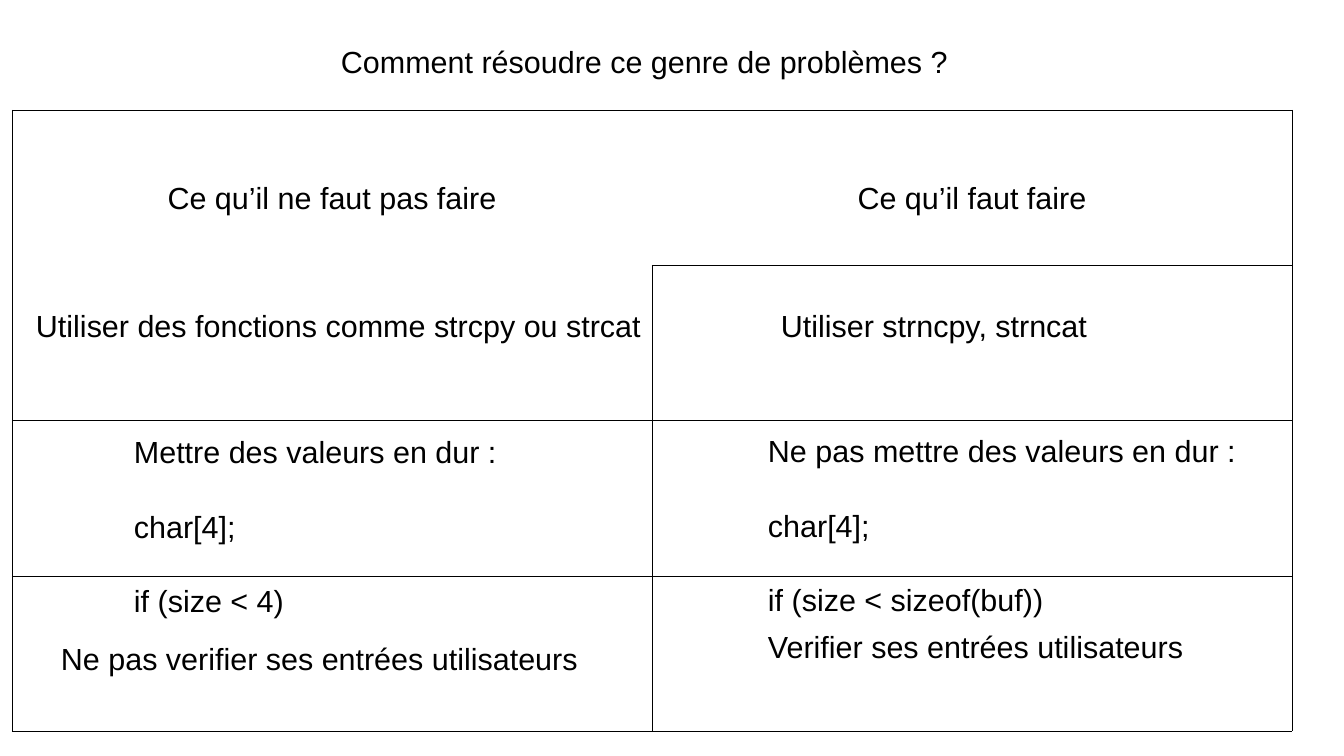
from lxml.etree import SubElement
from pptx import Presentation
from pptx.dml.color import RGBColor as RGB
from pptx.enum.text import PP_ALIGN as ALIGN
from pptx.oxml.ns import qn
from pptx.util import Pt

PX = 914400 / 122
COLORS = {"ink": "000000"}


def px(n):
    return round(n * PX)


def add_run(p, text):
    r = p.add_run()
    r.text = text
    r.font.name = "Arial"
    r.font.size = Pt(18)
    r.font.color.rgb = RGB.from_string(COLORS["ink"])


prs = Presentation()
prs.slide_width, prs.slide_height = px(1344), px(756)
s = prs.slides.add_slide(prs.slide_layouts[6])

HEADERS = ["Ce qu’il ne faut pas faire", "Ce qu’il faut faire"]
ROW_HEIGHTS = [155, 155, 156, 155]
tbl = s.shapes.add_table(4, 2, px(12), px(110), px(1280), px(621)).table
tbl.first_row = tbl.horz_banding = False
for col in tbl.columns:
    col.width = px(640)
for row, height in zip(tbl.rows, ROW_HEIGHTS):
    row.height = px(height)

SIDES = {(0, 0): "LT", (0, 1): "RTB", (1, 0): "LRB"}
for i in range(4):
    for j in range(2):
        cell = tbl.cell(i, j)
        tcPr = cell._tc.get_or_add_tcPr()
        for side in "LRTB":
            ln = SubElement(tcPr, qn("a:ln" + side), w=str(Pt(0.06)))
            if side in SIDES.get((i, j), "LRTB"):
                fill = SubElement(ln, qn("a:solidFill"))
                SubElement(fill, qn("a:srgbClr"), val=COLORS["ink"])
            else:
                SubElement(ln, qn("a:noFill"))
        cell.fill.background()

for j, header in enumerate(HEADERS):
    cell = tbl.cell(0, j)
    cell.margin_top = px(72)
    p = cell.text_frame.paragraphs[0]
    p.alignment = ALIGN.CENTER
    add_run(p, header)

TEXTS = [
    (329, 37, 695, 46, ["Comment résoudre ce genre de problèmes ?"]),
    (24, 301, 817, 70, ["Utiliser des fonctions comme strcpy ou strcat"]),
    (769, 301, 439, 46, ["Utiliser strncpy, strncat"]),
    (122, 427, 488, 183, ["Mettre des valeurs en dur :", "char[4];", "if (size < 4)"]),
    (756, 426, 537, 184, ["Ne pas mettre des valeurs en dur :", "char[4];", "if (size < sizeof(buf))"]),
    (49, 634, 561, 49, ["Ne pas verifier ses entrées utilisateurs"]),
    (756, 622, 561, 49, ["Verifier ses entrées utilisateurs"]),
]
for x, y, w, h, lines in TEXTS:
    tf = s.shapes.add_textbox(px(x), px(y), px(w), px(h)).text_frame
    tf.word_wrap = True
    for k, line in enumerate(lines):
        p = tf.add_paragraph() if k else tf.paragraphs[0]
        if k:
            p.space_before = Pt(22.5)
        add_run(p, line)

prs.save("out.pptx")
